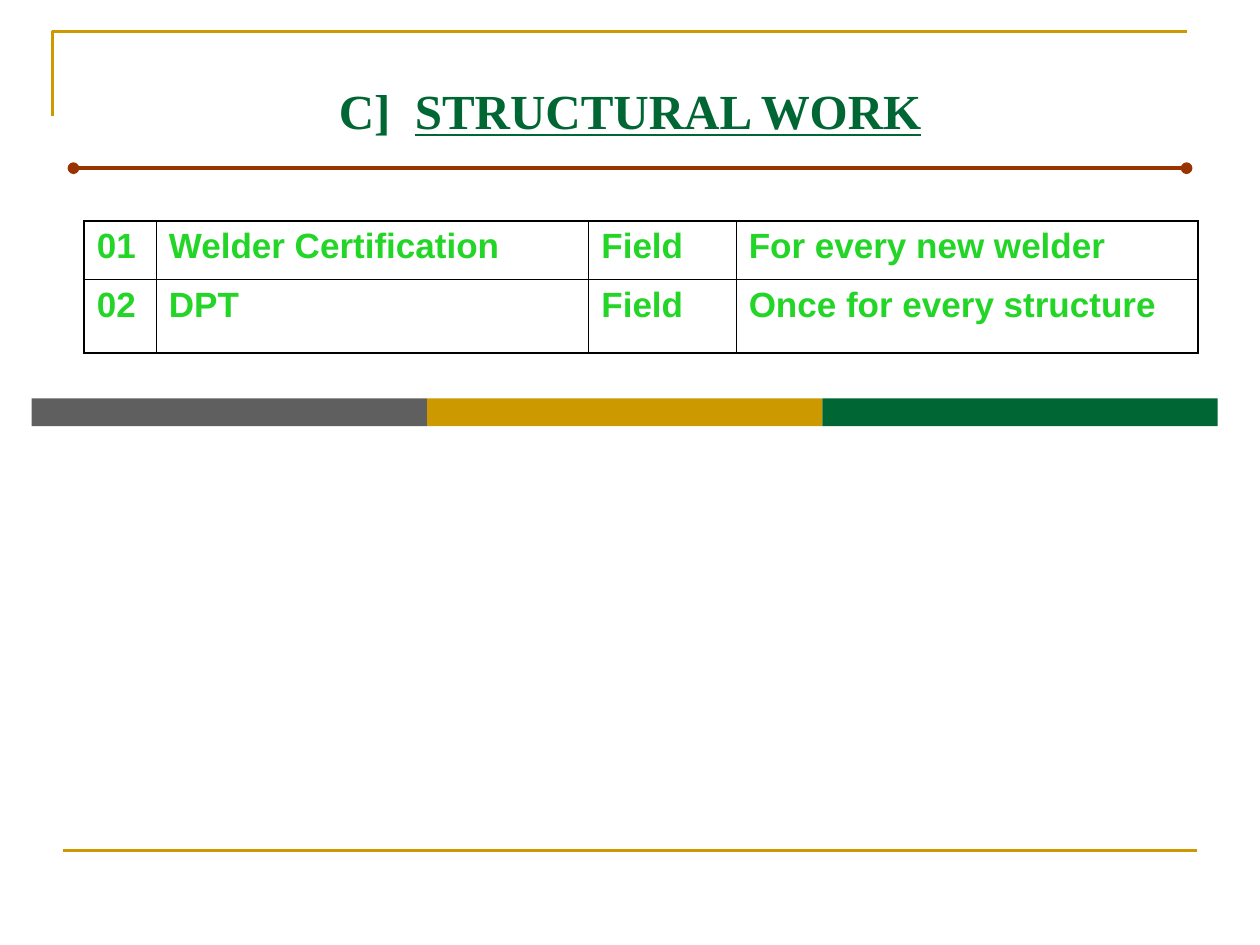
from dataclasses import dataclass

from lxml import etree
from pptx import Presentation
from pptx.dml.color import RGBColor
from pptx.enum.shapes import MSO_CONNECTOR as CONN, MSO_SHAPE as SHAPE
from pptx.enum.text import MSO_ANCHOR as ANCHOR, PP_ALIGN as ALIGN
from pptx.oxml.ns import qn
from pptx.util import Cm, Pt


@dataclass(frozen=True)
class Theme:
    """Colours, fonts and sizes of the slide."""
    gold: str = "CC9900"
    grey: str = "5F5F5F"
    green: str = "006633"
    rust: str = "993300"
    lime: str = "23D527"
    black: str = "000000"
    title_font: str = "Times New Roman"
    body_font: str = "Arial"
    title_size: float = 28
    body_size: float = 20
    frame_width: float = 1.5
    rule_width: float = 2.24
    outer_border: float = 1.08
    inner_border: float = 0.45


def rgb(value):
    """Turn a hex string into a colour."""
    return RGBColor.from_string(value)


def add_text(p, text, font, size, color, bold=True, underline=None):
    """Add one formatted run to a paragraph."""
    r = p.add_run()
    r.text = text
    r.font.name, r.font.size = font, Pt(size)
    r.font.bold, r.font.underline = bold, underline
    r.font.color.rgb = rgb(color)


def set_border(cell, side, color, width):
    """Draw one side (L, R, T or B) of a table cell."""
    ln = etree.SubElement(cell._tc.get_or_add_tcPr(), qn(f"a:ln{side}"), w=str(Pt(width)))
    fill = etree.SubElement(ln, qn("a:solidFill"))
    etree.SubElement(fill, qn("a:srgbClr"), val=color)


class SlideBuilder:
    """Holds the theme and the current slide."""

    def __init__(self, s, theme):
        """Keep the slide and its theme."""
        self.s, self.t = s, theme

    def outline(self, points, color, width):
        """Draw an open, unfilled line through points."""
        (x, y), *rest = [(Cm(a), Cm(b)) for a, b in points]
        fb = self.s.shapes.build_freeform(x, y)
        fb.add_line_segments(rest, close=False)
        sp = fb.convert_to_shape()
        sp.shadow.inherit = False
        sp.fill.background()
        sp.line.color.rgb, sp.line.width = rgb(color), Pt(width)

    def line(self, x1, x2, y, color, width, end=None):
        """Draw a horizontal line, with optional end marks."""
        c = self.s.shapes.add_connector(CONN.STRAIGHT, Cm(x1), Cm(y), Cm(x2), Cm(y))
        c.line.color.rgb, c.line.width = rgb(color), Pt(width)
        if end:
            ln = c.line._get_or_add_ln()
            for tag in ("a:headEnd", "a:tailEnd"):
                etree.SubElement(ln, qn(tag), type=end)
        etree.SubElement(c._element.spPr, qn("a:effectLst"))

    def bar(self, x, y, w, h, color):
        """Draw a plain filled rectangle."""
        sp = self.s.shapes.add_shape(SHAPE.RECTANGLE, Cm(x), Cm(y), Cm(w), Cm(h))
        sp.shadow.inherit = False
        sp.fill.solid()
        sp.fill.fore_color.rgb = rgb(color)
        sp.line.fill.background()

    def title(self, x, y, w, h, label, text):
        """Write a centred title with its main part underlined."""
        tf = self.s.shapes.add_textbox(Cm(x), Cm(y), Cm(w), Cm(h)).text_frame
        tf.word_wrap, tf.vertical_anchor = True, ANCHOR.MIDDLE
        p = tf.paragraphs[0]
        p.alignment = ALIGN.CENTER
        style = dict(font=self.t.title_font, size=self.t.title_size, color=self.t.green)
        add_text(p, label, **style)
        add_text(p, text, underline=True, **style)

    def table(self, x, y, widths, heights, rows):
        """Add a table with a heavier outer border."""
        t = self.t
        n_rows, n_cols = len(rows), len(widths)
        tbl = self.s.shapes.add_table(n_rows, n_cols, Cm(x), Cm(y),
                                      Cm(sum(widths)), Cm(sum(heights))).table
        tbl.first_row = tbl.horz_banding = False
        for col, w in zip(tbl.columns, widths):
            col.width = Cm(w)
        for i, (row, h, texts) in enumerate(zip(tbl.rows, heights, rows)):
            row.height = Cm(h)
            for j, (cell, text) in enumerate(zip(row.cells, texts)):
                p = cell.text_frame.paragraphs[0]
                p.space_before = Pt(5)
                add_text(p, text, t.body_font, t.body_size, t.lime)
                outer = dict(L=j == 0, R=j == n_cols - 1, T=i == 0, B=i == n_rows - 1)
                for side, is_outer in outer.items():
                    set_border(cell, side, t.black, t.outer_border if is_outer else t.inner_border)
                cell.fill.background()


def main():
    """Build and save the slide."""
    prs = Presentation()
    prs.slide_width, prs.slide_height = Cm(25.4), Cm(19.05)
    t = Theme()
    b = SlideBuilder(prs.slides.add_slide(prs.slide_layouts[6]), t)

    b.outline([(1.06, 2.33), (1.06, 0.64), (23.92, 0.64)], t.gold, t.frame_width)
    b.line(1.27, 24.13, 17.15, t.gold, t.frame_width)
    bar_width = 7.97
    for i, color in enumerate((t.grey, t.gold, t.green)):
        b.bar(0.64 + i * bar_width, 8.03, bar_width, 0.56, color)

    b.title(1.27, 1.48, 22.86, 1.48, "C]  ", "STRUCTURAL WORK")
    b.table(1.7, 4.45, (1.45, 8.72, 2.97, 9.31), (1.19, 1.48), [
        ("01", "Welder Certification", "Field", "For every new welder"),
        ("02", "DPT", "Field", "Once for every structure"),
    ])
    b.line(1.48, 23.92, 3.39, t.rust, t.rule_width, end="oval")
    prs.save("out.pptx")


main()
